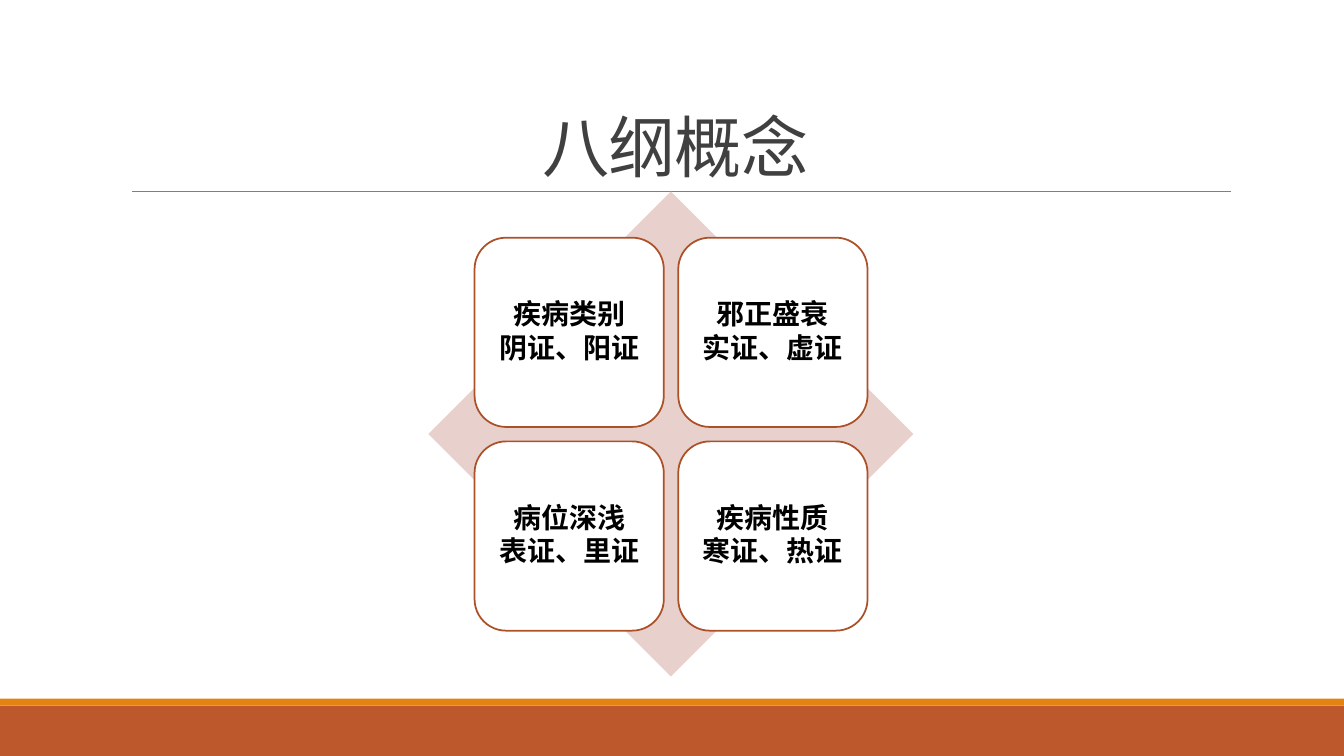
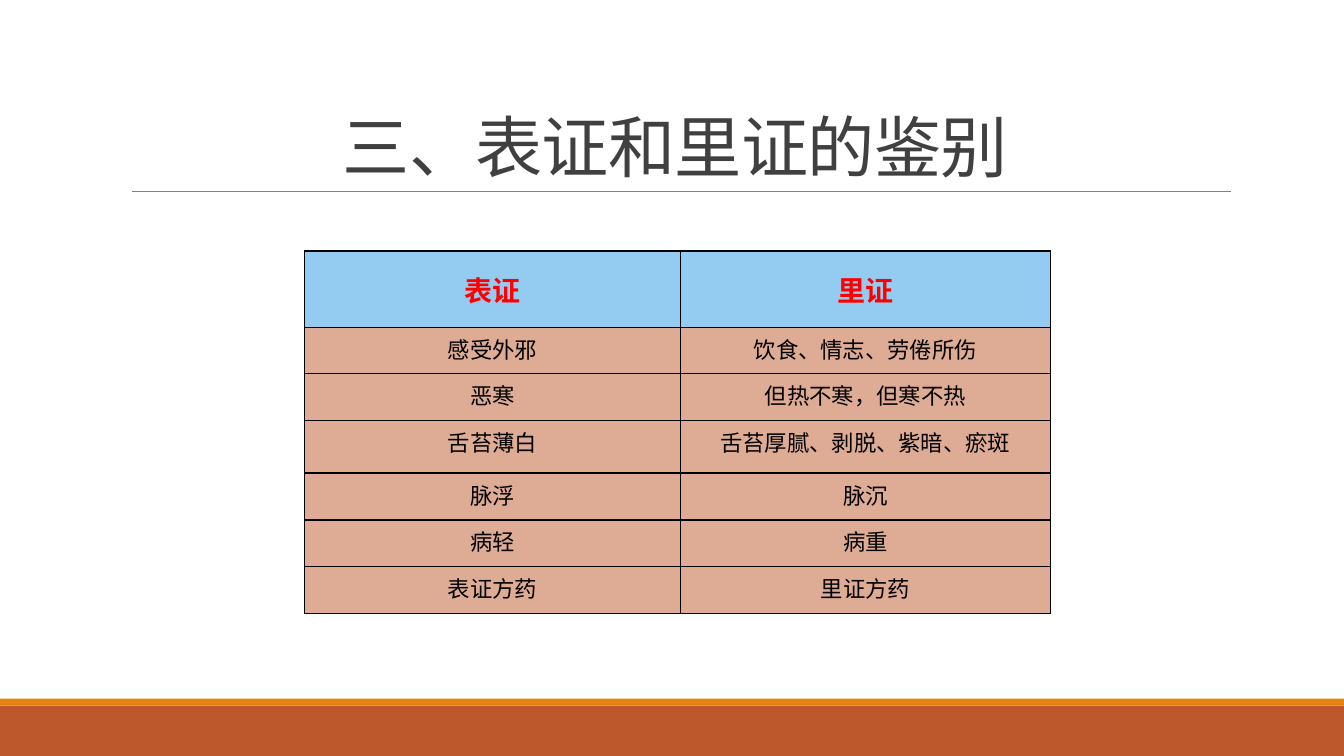
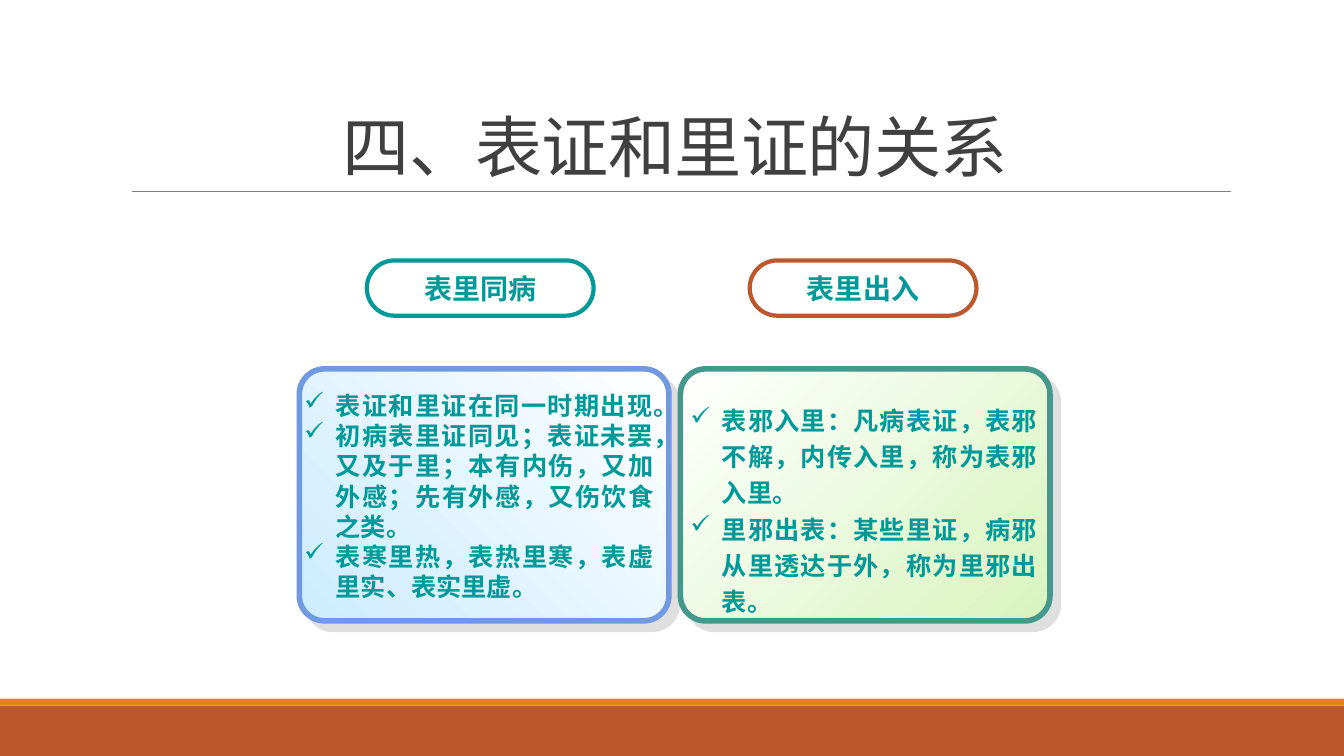
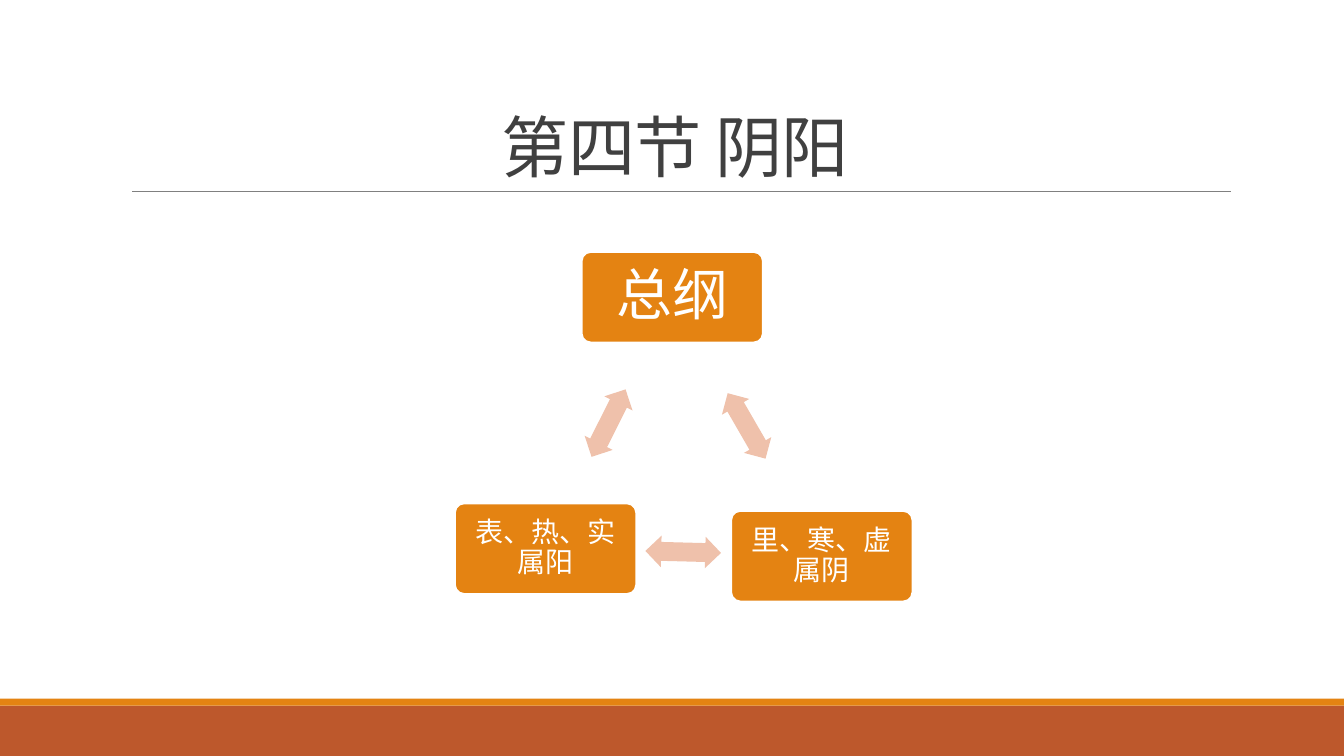
from itertools import product

from lxml.etree import SubElement
from pptx import Presentation
from pptx.dml.color import RGBColor
from pptx.enum.shapes import MSO_CONNECTOR, MSO_SHAPE
from pptx.enum.text import MSO_ANCHOR, PP_ALIGN
from pptx.oxml import parse_xml
from pptx.oxml.ns import nsdecls, qn
from pptx.util import Pt

RUST = RGBColor(0xBD, 0x58, 0x2C)
ORANGE = RGBColor(0xE4, 0x83, 0x12)
GRAY = RGBColor(0x80, 0x80, 0x80)
DARK_GRAY = RGBColor(0x40, 0x40, 0x40)
BLACK = RGBColor(0x00, 0x00, 0x00)
WHITE = RGBColor(0xFF, 0xFF, 0xFF)
RED = RGBColor(0xFF, 0x00, 0x00)
TEAL = RGBColor(0x00, 0x99, 0x99)
BROWN = RGBColor(0xAC, 0x50, 0x28)
PINK = RGBColor(0xE8, 0xD1, 0xCD)
PEACH = RGBColor(0xEF, 0xC1, 0xAB)
HEADER_BLUE = RGBColor(0x94, 0xCB, 0xF1)
ROW_TAN = RGBColor(0xDE, 0xAB, 0x95)
PALE_BLUE = RGBColor(0xCC, 0xEC, 0xFF)
PALE_GREEN = RGBColor(0xD8, 0xF4, 0xBE)
CARD_BLUE = RGBColor(0x70, 0x99, 0xE2)
CARD_GREEN = RGBColor(0x44, 0x98, 0x8C)

SANS = "Noto Sans CJK SC"
SERIF = "Times New Roman"
SLIDE_WIDTH, SLIDE_HEIGHT = 960, 540


def style_paragraph(paragraph, size, color, bold=False, name=SANS,
                    align=PP_ALIGN.CENTER, spacing=None, tracking=None):
    paragraph.alignment = align
    paragraph.line_spacing = spacing
    font = paragraph.font
    font.size, font.bold, font.name = Pt(size), bold, name
    font.color.rgb = color
    properties = paragraph._p.pPr.find(qn("a:defRPr"))
    SubElement(properties, qn("a:ea")).set("typeface", SANS)
    if tracking:
        properties.set("spc", str(int(tracking * 100)))


def write_text(frame, lines, gap=0, **style):
    for index, line in enumerate(lines):
        paragraph = frame.paragraphs[0] if index == 0 else frame.add_paragraph()
        paragraph.text = line
        style_paragraph(paragraph, **style)
        paragraph.space_after = Pt(gap)


def add_box(slide, kind, left, top, width, height, fill=None, line=None,
            line_width=1.25, adjustments=()):
    shape = slide.shapes.add_shape(kind, Pt(left), Pt(top), Pt(width), Pt(height))
    shape.shadow.inherit = False
    for index, value in enumerate(adjustments):
        shape.adjustments[index] = value
    if fill is None:
        shape.fill.background()
    else:
        shape.fill.solid()
        shape.fill.fore_color.rgb = fill
    if line is None:
        shape.line.fill.background()
    else:
        shape.line.color.rgb = line
        shape.line.width = Pt(line_width)
    return shape


def add_label(shape, lines, inset=7, wrap=True, **style):
    frame = shape.text_frame
    frame.word_wrap = wrap
    frame.vertical_anchor = MSO_ANCHOR.MIDDLE
    frame.margin_left = frame.margin_right = Pt(inset)
    frame.margin_top = frame.margin_bottom = Pt(inset)
    write_text(frame, lines, **style)


def add_card(slide, left, first_color, last_color, angle, line):
    card = add_box(slide, MSO_SHAPE.ROUNDED_RECTANGLE, left, 263.5, 264, 180,
                   line=line, line_width=4, adjustments=[0.1])
    card.fill.gradient()
    card.fill.gradient_angle = angle
    for stop, color in zip(card.fill.gradient_stops, (first_color, last_color)):
        stop.color.rgb = color
    effects = card.element.spPr.find(qn("a:effectLst"))
    effects.append(parse_xml(
        f'<a:outerShdw {nsdecls("a")} blurRad="0" dist="{Pt(8.5)}" dir="2700000" '
        'algn="ctr" rotWithShape="0"><a:srgbClr val="C0C0C0">'
        '<a:alpha val="50000"/></a:srgbClr></a:outerShdw>'))


def add_checklist(slide, left, top, width, height, items, anchor, spacing):
    frame = slide.shapes.add_textbox(
        Pt(left), Pt(top), Pt(width), Pt(height)).text_frame
    frame.word_wrap = True
    frame.vertical_anchor = anchor
    write_text(frame, items, size=18, color=TEAL, bold=True, name=SERIF,
               align=PP_ALIGN.JUSTIFY, spacing=spacing)
    for paragraph in frame.paragraphs:
        properties = paragraph._p.pPr
        properties.set("marL", str(Pt(22.5)))
        properties.set("indent", str(-Pt(22.5)))
        bullet = parse_xml(f'<a:buChar {nsdecls("a")} char="✓"/>')
        properties.find(qn("a:defRPr")).addprevious(bullet)


def add_cell_borders(cell):
    properties = cell._tc.get_or_add_tcPr()
    for index, side in enumerate("LRTB"):
        properties.insert(index, parse_xml(
            f'<a:ln{side} {nsdecls("a")} w="{Pt(1)}"><a:solidFill>'
            f'<a:srgbClr val="{BLACK}"/></a:solidFill></a:ln{side}>'))


def add_grid(slide, left, top, widths, heights, rows):
    table = slide.shapes.add_table(len(rows), len(widths), Pt(left), Pt(top),
                                   Pt(sum(widths)), Pt(sum(heights))).table
    table.first_row = table.horz_banding = False
    for column, width in zip(table.columns, widths):
        column.width = Pt(width)
    for row, height in zip(table.rows, heights):
        row.height = Pt(height)
    for row, column in product(range(len(rows)), range(len(widths))):
        cell = table.cell(row, column)
        header = row == 0
        cell.fill.solid()
        cell.fill.fore_color.rgb = HEADER_BLUE if header else ROW_TAN
        cell.vertical_anchor = MSO_ANCHOR.MIDDLE if header else MSO_ANCHOR.TOP
        write_text(cell.text_frame, [rows[row][column]], size=20 if header else 16,
                   color=RED if header else BLACK, bold=header)
        add_cell_borders(cell)


def prepare_layout(layout, slide):
    bands = [
        add_box(slide, MSO_SHAPE.RECTANGLE, 0, 504, SLIDE_WIDTH, 36, RUST),
        add_box(slide, MSO_SHAPE.RECTANGLE, 0, 499, SLIDE_WIDTH, 5, ORANGE),
    ]
    rule = slide.shapes.add_connector(
        MSO_CONNECTOR.STRAIGHT, Pt(94.5), Pt(136.8), Pt(879), Pt(136.8))
    rule.line.color.rgb = GRAY
    rule.line.width = Pt(0.5)
    SubElement(rule.element.spPr, qn("a:effectLst"))
    for shape in [*bands, rule]:
        layout.shapes.element.append(shape.element)
    for placeholder in list(layout.placeholders):
        if placeholder.placeholder_format.idx:
            placeholder.element.getparent().remove(placeholder.element)
    title = layout.placeholders[0]
    title.left, title.top = Pt(86.4), Pt(22.5)
    title.width, title.height = Pt(792), Pt(114.3)
    title.text_frame.vertical_anchor = MSO_ANCHOR.BOTTOM


def add_slide(presentation, title):
    layout = presentation.slide_layouts[5]
    slide = presentation.slides.add_slide(layout)
    if len(presentation.slides) == 1:
        prepare_layout(layout, slide)
    frame = slide.shapes.title.text_frame
    frame.vertical_anchor = MSO_ANCHOR.BOTTOM
    write_text(frame, [title], size=48, color=DARK_GRAY, spacing=0.85, tracking=-0.5)
    return slide


def build_concepts(presentation):
    slide = add_slide(presentation, "八纲概念")
    add_box(slide, MSO_SHAPE.DIAMOND, 306, 136.8, 346.4, 346.4, PINK)
    concepts = [
        ("疾病类别", "阴证、阳证"), ("邪正盛衰", "实证、虚证"),
        ("病位深浅", "表证、里证"), ("疾病性质", "寒证、热证"),
    ]
    for (row, column), lines in zip(product(range(2), repeat=2), concepts):
        box = add_box(slide, MSO_SHAPE.ROUNDED_RECTANGLE, 339 + column * 145.5,
                      169.8 + row * 145.5, 135.2, 135.2, WHITE, BROWN)
        add_label(box, lines, size=20, color=BLACK, bold=True, spacing=0.9, gap=2.5)


def build_comparison(presentation):
    slide = add_slide(presentation, "三、表证和里证的鉴别")
    rows = [
        ("表证", "里证"),
        ("感受外邪", "饮食、情志、劳倦所伤"),
        ("恶寒", "但热不寒，但寒不热"),
        ("舌苔薄白", "舌苔厚腻、剥脱、紫暗、瘀斑"),
        ("脉浮", "脉沉"),
        ("病轻", "病重"),
        ("表证方药", "里证方药"),
    ]
    add_grid(slide, 217.5, 179.3, [268.5, 264.3],
             [54.5, 33.2, 33.5, 37.5, 33.5, 33.5, 33.2], rows)


def build_relations(presentation):
    slide = add_slide(presentation, "四、表证和里证的关系")
    add_card(slide, 213.8, PALE_BLUE, WHITE, 45, CARD_BLUE)
    add_card(slide, 486, WHITE, PALE_GREEN, 315, CARD_GREEN)
    add_checklist(slide, 486, 281.5, 262, 162, [
        "表邪入里：凡病表证，表邪不解，内传入里，称为表邪入里。",
        "里邪出表：某些里证，病邪从里透达于外，称为里邪出表。",
    ], MSO_ANCHOR.TOP, 1.2)
    add_checklist(slide, 210.2, 274.3, 264, 160, [
        "表证和里证在同一时期出现。",
        "初病表里证同见；表证未罢，又及于里；本有内伤，又加外感；先有外感，又伤饮食之类。",
        "表寒里热，表热里寒，表虚里实、表实里虚。",
    ], MSO_ANCHOR.MIDDLE, 1.0)
    for left, line, label in [(262, TEAL, "表里同病"), (535.5, RUST, "表里出入")]:
        pill = add_box(slide, MSO_SHAPE.ROUNDED_RECTANGLE, left, 186, 162, 39.5,
                       line=line, line_width=3, adjustments=[0.5])
        add_label(pill, [label], inset=3.6, wrap=False, size=20, color=TEAL, bold=True)


def build_yin_yang(presentation):
    slide = add_slide(presentation, "第四节 阴阳")
    for left, top, size, label in [
        (415.5, 180, 40, "总纲"),
        (522.3, 365, 20, "里、寒、虚属阴"),
        (325, 359.6, 20, "表、热、实属阳"),
    ]:
        box = add_box(slide, MSO_SHAPE.ROUNDED_RECTANGLE, left, top, 129.4, 64.6,
                      ORANGE, WHITE, adjustments=[0.1])
        add_label(box, [label], size=size, color=WHITE, spacing=0.9)
    for left, top, rotation in [(506.3, 293, 60), (461, 383, 181.5), (407.7, 291, 296.7)]:
        arrow = add_box(slide, MSO_SHAPE.LEFT_RIGHT_ARROW, left, top, 54, 22.5,
                        PEACH, adjustments=[0.6, 0.5])
        arrow.rotation = rotation


def main():
    presentation = Presentation()
    presentation.slide_width = Pt(SLIDE_WIDTH)
    presentation.slide_height = Pt(SLIDE_HEIGHT)
    build_concepts(presentation)
    build_comparison(presentation)
    build_relations(presentation)
    build_yin_yang(presentation)
    presentation.save("out.pptx")


if __name__ == "__main__":
    main()
